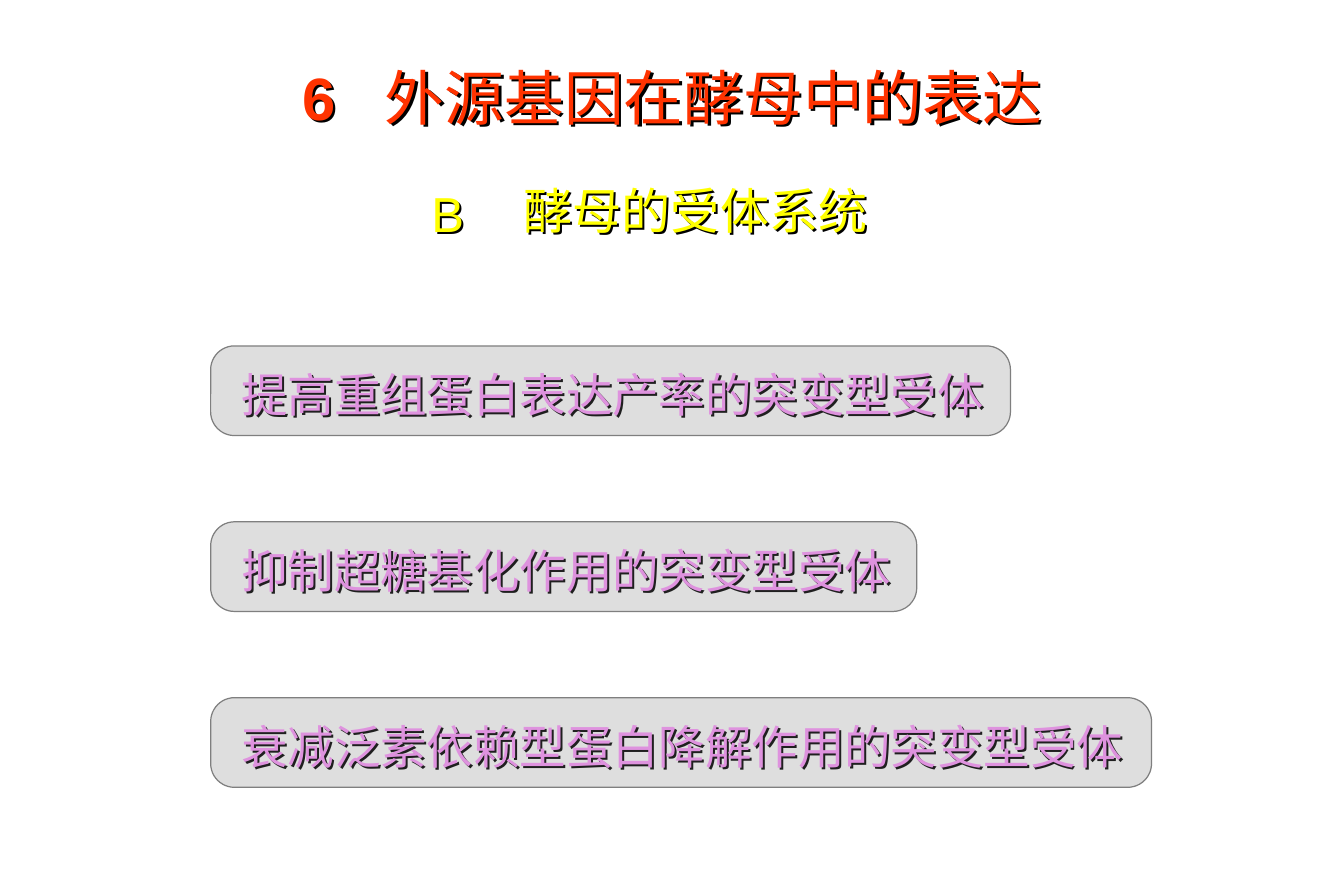
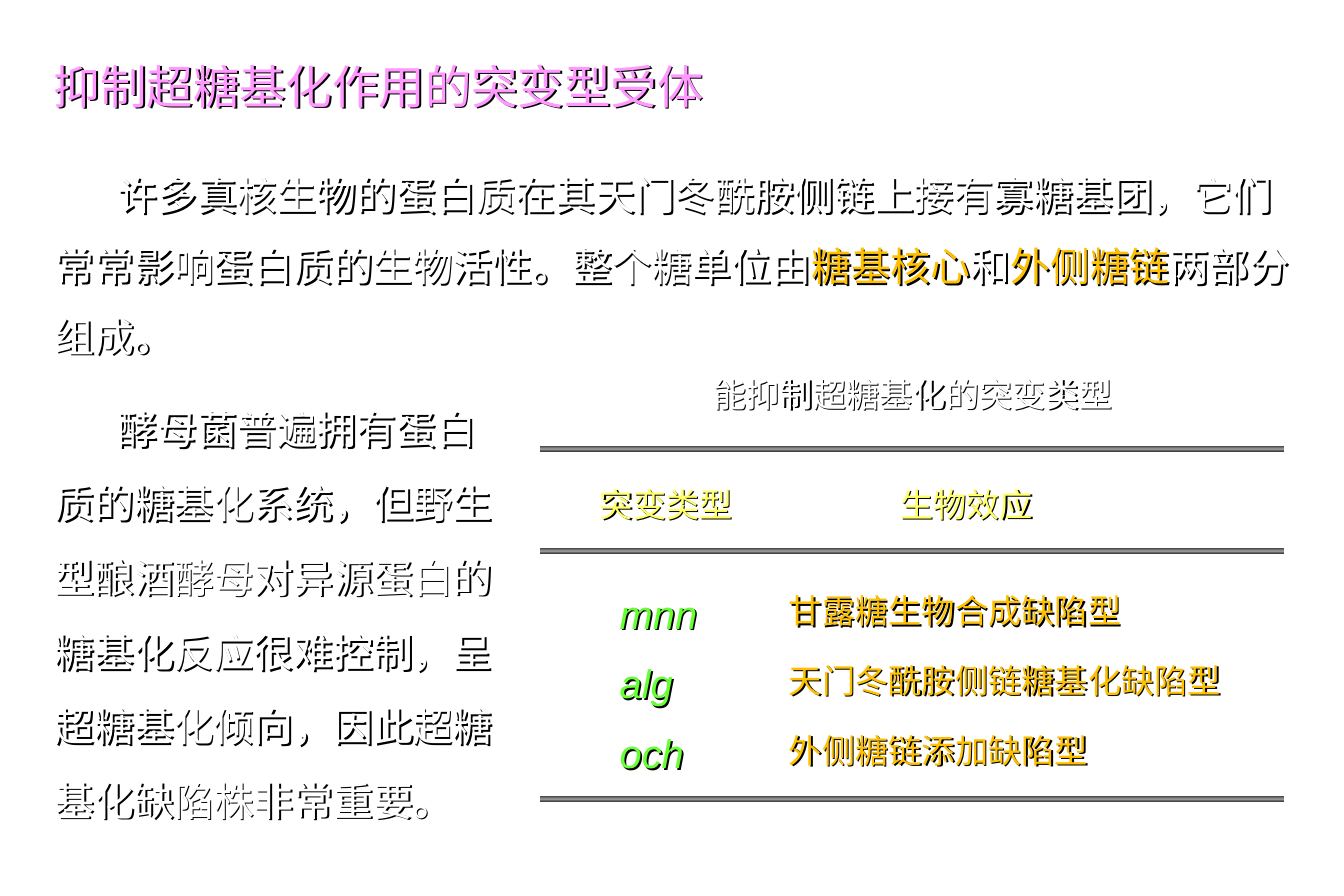
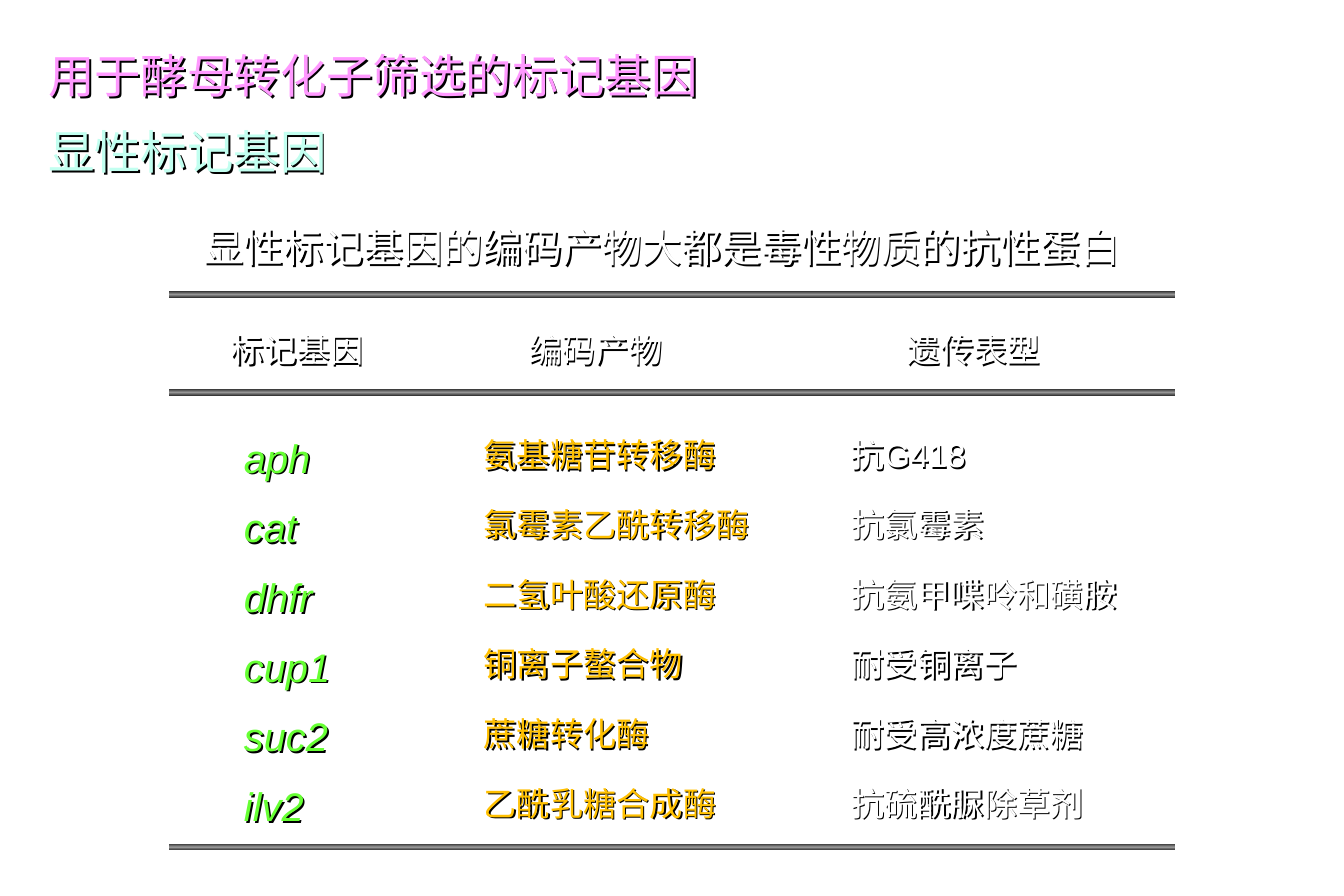
from pptx import Presentation
from pptx.dml.color import RGBColor
from pptx.enum.shapes import MSO_SHAPE
from pptx.enum.text import MSO_ANCHOR, PP_ALIGN
from pptx.oxml import parse_xml
from pptx.oxml.ns import nsdecls, qn
from pptx.util import Pt

WIDE, HIGH = 810, 540
FACE = "Arial"
RED, YELLOW, LEMON = "FF3300", "FFFF00", "FFFF66"
PINK, MINT, GREEN = "FF99FF", "C2FFF0", "66FF33"
GOLD, WHITE, GREY = "FFC000", "FFFFFF", "7F7F7F"
SHADE = ('<a:effectLst %s><a:outerShdw blurRad="0" dist="%d" dir="2700000" '
         'algn="tl" rotWithShape="0"><a:srgbClr val="000000"/></a:outerShdw></a:effectLst>')
METAL = ('<a:gradFill %s rotWithShape="1"><a:gsLst>'
         '<a:gs pos="0"><a:srgbClr val="323232"/></a:gs>'
         '<a:gs pos="50000"><a:srgbClr val="969696"/></a:gs>'
         '<a:gs pos="100000"><a:srgbClr val="323232"/></a:gs>'
         '</a:gsLst><a:lin ang="5400000" scaled="0"/></a:gradFill>' % nsdecls("a"))


def tint(code):
    return RGBColor.from_string(code)


def write(para, words, size=20, color=WHITE, bold=False, italic=False):
    run = para.add_run()
    run.text = words
    font = run.font
    font.name, font.size = FACE, Pt(size)
    font.bold, font.italic = bold, italic
    font.color.rgb = tint(color)


def frame(slide, x, y, w, h, size):
    """Add a text box whose hard shadow suits the text size."""
    box = slide.shapes.add_textbox(Pt(x), Pt(y), Pt(w), Pt(h))
    box._element.spPr.append(parse_xml(SHADE % (nsdecls("a"), Pt(size * 0.06))))
    body = box.text_frame
    body.margin_left = body.margin_right = 0
    body.margin_top = body.margin_bottom = 0
    body.word_wrap = True
    return body


def label(slide, x, mid, words, w=500, align=PP_ALIGN.LEFT, size=20, **style):
    """Place one line of text, centred on the height mid."""
    body = frame(slide, x, mid - 24, w, 48, size)
    body.vertical_anchor = MSO_ANCHOR.MIDDLE
    para = body.paragraphs[0]
    para.alignment = align
    parts = [(words, {})] if isinstance(words, str) else words
    for part, extra in parts:
        write(para, part, **{"size": size, **style, **extra})


def prose(slide, x, y, w, h, parts, pitch):
    """Place a wrapped paragraph whose first line is indented."""
    para = frame(slide, x, y, w, h, 24).paragraphs[0]
    para.line_spacing = Pt(pitch)
    para._p.get_or_add_pPr().set("indent", str(Pt(38)))
    for words, color in parts:
        write(para, words, size=24, color=color)


def pill(slide, x, y, w, words):
    label(slide, x + 18.5, y + 29, words, w=w - 18.5, size=28, color=PINK)
    box = slide.shapes.add_shape(MSO_SHAPE.ROUNDED_RECTANGLE, Pt(x), Pt(y), Pt(w), Pt(54))
    box.adjustments[0] = 0.265
    box.shadow.inherit = False
    box.fill.solid()
    box.fill.fore_color.rgb = tint(GREY)
    hue = box._element.spPr.find(qn("a:solidFill"))[0]
    hue.append(parse_xml('<a:alpha %s val="25000"/>' % nsdecls("a")))
    box.line.color.rgb = tint(GREY)
    box.line.width = Pt(0.75)


def bar(slide, x, y, w):
    rule = slide.shapes.add_shape(MSO_SHAPE.RECTANGLE, Pt(x), Pt(y), Pt(w), Pt(4))
    rule.shadow.inherit = False
    rule.line.fill.background()
    rule._element.spPr.find(qn("a:prstGeom")).addnext(parse_xml(METAL))


def chart(slide, x, y, w, bars, heads, rows, top, tones, head):
    """Place ruled columns: bars are rule offsets from y, heads hold the title,
    title indent and entry indent of each column, top is the first row's middle."""
    for drop in bars:
        bar(slide, x, y + drop, w)
    for c, (title, pad, inset) in enumerate(heads):
        label(slide, x + pad, y + 35.2, title, w=90, color=head)
        for r, row in enumerate(rows):
            mid = y + top + 42 * r
            if c:
                label(slide, x + inset, mid - 1.5, row[c], w=270, color=tones[c])
            else:
                label(slide, x + inset, mid, row[c], w=90, size=24,
                      color=tones[c], italic=True)


def hosts(slide):
    label(slide, 75, 58, [("6", {"bold": True}), ("　", {"size": 30}),
                          ("外源基因在酵母中的表达", {})],
          w=660, align=PP_ALIGN.CENTER, size=36, color=RED)
    label(slide, 260, 128, "B", w=40, size=29.6, color=YELLOW)
    label(slide, 315.5, 126.5, "酵母的受体系统", w=240, size=29.6, color=YELLOW)
    pills = [("提高重组蛋白表达产率的突变型受体", 482),
             ("抑制超糖基化作用的突变型受体", 425.5),
             ("衰减泛素依赖型蛋白降解作用的突变型受体", 567)]
    for i, (words, w) in enumerate(pills):
        pill(slide, 127, 208.5 + 106 * i, w, words)


def mutants(slide):
    label(slide, 32.5, 51.5, "抑制超糖基化作用的突变型受体", size=28, color=PINK)
    prose(slide, 33, 89, 750, 130, [
        ("许多真核生物的蛋白质在其天门冬酰胺侧链上接有寡糖基团，它们"
         "常常影响蛋白质的生物活性。整个糖单位由", WHITE),
        ("糖基核心", GOLD), ("和", WHITE), ("外侧糖链", GOLD),
        ("两部分组成。", WHITE)], 42.7)
    prose(slide, 33, 228, 270, 270, [
        ("酵母菌普遍拥有蛋白质的糖基化系统，但野生型酿酒酵母对异源蛋白的"
         "糖基化反应很难控制，呈超糖基化倾向，因此超糖基化缺陷株非常重要。",
         WHITE)], 44.8)
    label(slide, 430, 237.5, "能抑制超糖基化的突变类型", w=260)
    heads = [("突变类型", 36, 48), ("生物效应", 217, 150)]
    rows = [("mnn", "甘露糖生物合成缺陷型"),
            ("alg", "天门冬酰胺侧链糖基化缺陷型"),
            ("och", "外侧糖链添加缺陷型")]
    chart(slide, 325.5, 268.5, 448.5, [0, 61.5, 211], heads, rows, top=101,
          tones=[GREEN, GOLD], head=LEMON)


def markers(slide):
    label(slide, 29, 45, "用于酵母转化子筛选的标记基因", size=28, color=PINK)
    label(slide, 29, 91, "显性标记基因", size=28, color=MINT)
    label(slide, 123, 148.5, "显性标记基因的编码产物大都是毒性物质的抗性蛋白",
          w=600, size=24)
    heads = [("标记基因", 37, 45), ("编码产物", 217, 189.5), ("遗传表型", 445, 411)]
    rows = [("aph", "氨基糖苷转移酶", "抗G418"),
            ("cat", "氯霉素乙酰转移酶", "抗氯霉素"),
            ("dhfr", "二氢叶酸还原酶", "抗氨甲喋呤和磺胺"),
            ("cup1", "铜离子螯合物", "耐受铜离子"),
            ("suc2", "蔗糖转化酶", "耐受高浓度蔗糖"),
            ("ilv2", "乙酰乳糖合成酶", "抗硫酰脲除草剂")]
    chart(slide, 102, 175.5, 606, [0, 59, 333], heads, rows, top=100,
          tones=[GREEN, GOLD, WHITE], head=WHITE)


def main():
    deck = Presentation()
    deck.slide_width, deck.slide_height = Pt(WIDE), Pt(HIGH)
    for build in (hosts, mutants, markers):
        build(deck.slides.add_slide(deck.slide_layouts[6]))
    deck.save("out.pptx")


if __name__ == "__main__":
    main()
